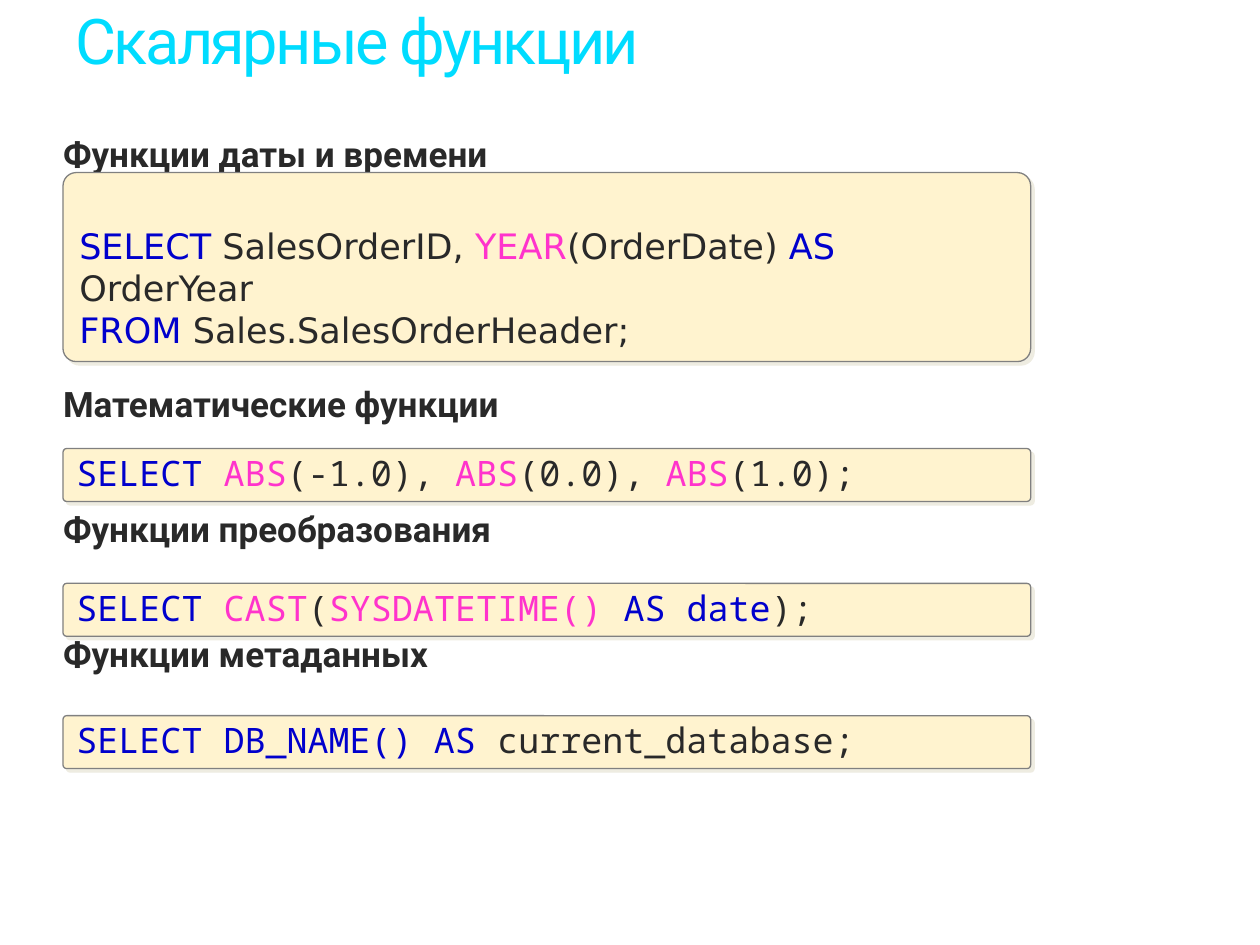
from pptx import Presentation, util as u
from pptx.dml.color import RGBColor
from pptx.enum import shapes, text
from pptx.oxml import parse_xml
from pptx.oxml.ns import nsdecls

COLORS = {"title": "00DCFF", "text": "292929", "keyword": "0000CC",
          "function": "FF33CC", "panel": "FFF3CF", "border": "808080",
          "shadow": "EEECE1"}
LEFT, CODE_W = 0.5, 7.68


def rgb(name):
    return RGBColor.from_string(COLORS[name])


def add_run(p, words, font="Roboto", size=20, color="text", bold=False, spacing=None):
    r = p.add_run()
    r.text = words
    r.font.name, r.font.size, r.font.bold = font, u.Pt(size), bold
    r.font.color.rgb = rgb(color)
    if spacing is not None:
        r._r.get_or_add_rPr().set("spc", str(spacing))


def place(sp, x, y, w, h):
    sp.left, sp.top, sp.width, sp.height = map(u.Inches, (x, y, w, h))


def set_frame(tf, anchor, left=0.1, top=0.05, right=0.1, bottom=0.05):
    tf.word_wrap = True
    tf.auto_size = text.MSO_AUTO_SIZE.NONE
    tf.vertical_anchor = anchor
    tf.margin_left, tf.margin_top = u.Inches(left), u.Inches(top)
    tf.margin_right, tf.margin_bottom = u.Inches(right), u.Inches(bottom)


def fill_title(sp, words, x, y, w, h):
    place(sp, x, y, w, h)
    set_frame(sp.text_frame, text.MSO_ANCHOR.TOP, top=0.08)
    p = sp.text_frame.paragraphs[0]
    p.alignment, p.line_spacing = text.PP_ALIGN.LEFT, 0.9
    add_run(p, words, size=36, color="title", spacing=-150)


def fill_headings(sp, headings, x, y, w, h):
    place(sp, x, y, w, h)
    tf = sp.text_frame
    set_frame(tf, text.MSO_ANCHOR.TOP, 0, 0, 0, 0)
    for i, (words, gap) in enumerate(headings):
        p = tf.add_paragraph() if i else tf.paragraphs[0]
        p.line_spacing, p.space_before = 0.9, u.Pt(gap)
        pPr = p._p.get_or_add_pPr()
        pPr.set("marL", "0")
        pPr.set("indent", "0")
        pPr.append(parse_xml(f"<a:buNone {nsdecls('a')}/>"))
        add_run(p, words, bold=True)


def add_code(s, lines, x, y, w, h, font="Noto Sans Mono", top=0.05, spacing=0.9):
    sp = s.shapes.add_shape(shapes.MSO_SHAPE.ROUNDED_RECTANGLE,
                            *map(u.Inches, (x, y, w, h)))
    sp.adjustments[0] = 0.07
    sp.fill.solid()
    sp.fill.fore_color.rgb = rgb("panel")
    sp.line.color.rgb, sp.line.width = rgb("border"), u.Pt(0.75)
    sp.shadow.inherit = False
    sp._element.spPr.find("{*}effectLst").append(parse_xml(
        f'<a:outerShdw {nsdecls("a")} dist="{u.Pt(2.8)}" dir="2700000" algn="ctr" '
        f'rotWithShape="0"><a:srgbClr val="{COLORS["shadow"]}"/></a:outerShdw>'))
    tf = sp.text_frame
    set_frame(tf, text.MSO_ANCHOR.MIDDLE, top=top)
    for i, line in enumerate(lines):
        p = tf.add_paragraph() if i else tf.paragraphs[0]
        p.alignment, p.line_spacing = text.PP_ALIGN.LEFT, spacing
        for words, color in line:
            add_run(p, words, font=font, color=color)


K, F, T = "keyword", "function", "text"
DATE_CODE = [
    [("SELECT ", K), ("SalesOrderID, ", T), ("YEAR", F), ("(OrderDate) ", T),
     ("AS ", K), ("OrderYear", T)],
    [("FROM ", K), ("Sales.SalesOrderHeader;", T)],
]
SHORT_CODE = [
    (3.56, [("SELECT ", K), ("ABS", F), ("(-1.0), ", T), ("ABS", F),
            ("(0.0), ", T), ("ABS", F), ("(1.0);", T)]),
    (4.63, [("SELECT ", K), ("CAST", F), ("(", T), ("SYSDATETIME() ", F),
            ("AS date", K), (");", T)]),
    (5.68, [("SELECT DB_NAME() AS ", K), ("current_database;", T)]),
]
HEADINGS = [("Функции даты и времени", 0), ("Математические функции", 121),
            ("Функции преобразования", 50), ("Функции метаданных", 50)]

prs = Presentation()
prs.slide_width, prs.slide_height = u.Inches(10), u.Inches(7.5)
s = prs.slides.add_slide(prs.slide_layouts[1])
fill_title(s.shapes.title, "Скалярные функции", LEFT, 0, 8.5, 0.81)
fill_headings(s.placeholders[1], HEADINGS, LEFT, 1.09, 8.48, 4.8)
add_code(s, DATE_CODE, LEFT, 1.37, CODE_W, 1.5, font="DejaVu Sans", top=0.37, spacing=1)
for y, line in SHORT_CODE:
    add_code(s, [line], LEFT, y, CODE_W, 0.42)
prs.save("out.pptx")
